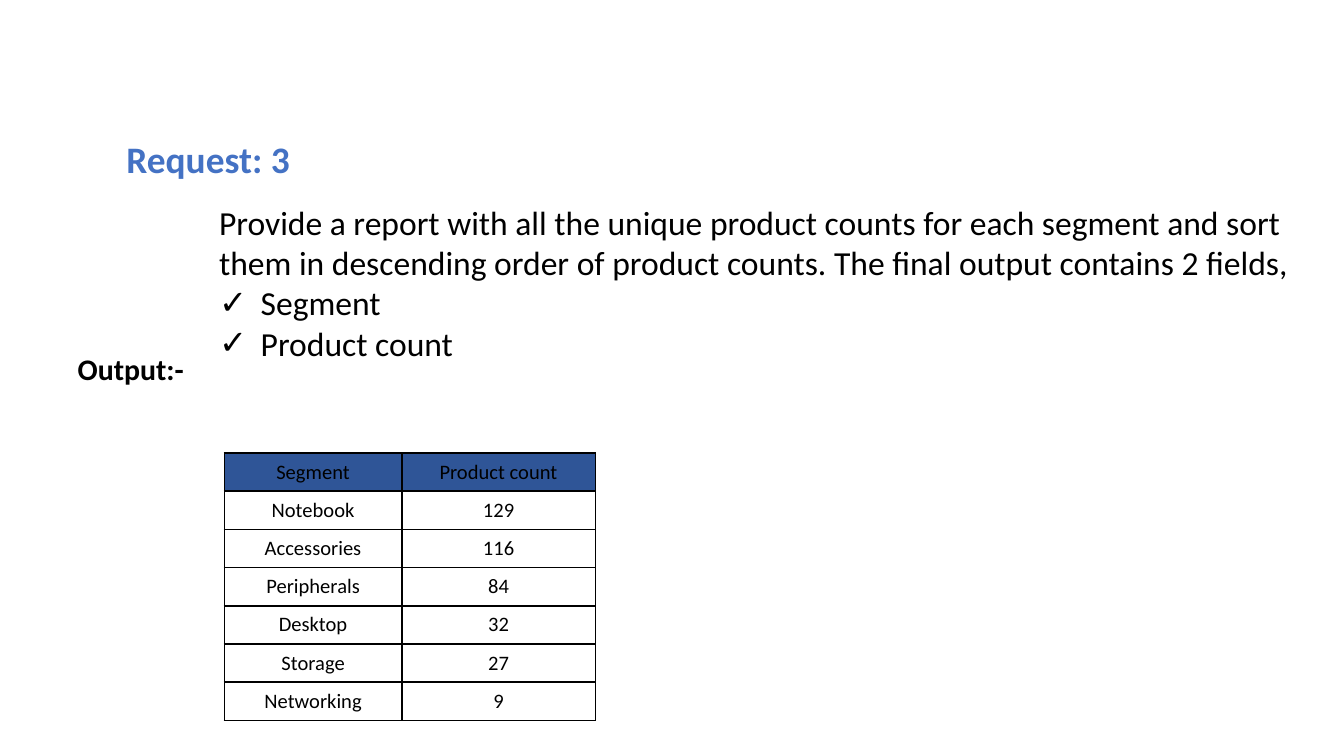
from typing import NamedTuple

from lxml import etree
from pptx import Presentation
from pptx.dml.color import RGBColor
from pptx.enum.text import MSO_ANCHOR, MSO_AUTO_SIZE, PP_ALIGN
from pptx.oxml.ns import qn
from pptx.util import Inches, Pt

LEFT, CENTER = PP_ALIGN.LEFT, PP_ALIGN.CENTER
TOP, MIDDLE = MSO_ANCHOR.TOP, MSO_ANCHOR.MIDDLE
NO_AUTOFIT = MSO_AUTO_SIZE.NONE

BLACK = RGBColor(0x00, 0x00, 0x00)
HEADING_BLUE = RGBColor(0x44, 0x72, 0xC4)
HEADER_BLUE = RGBColor(0x2F, 0x55, 0x97)
FONT = "Calibri"
SLIDE_WIDTH = 10
SLIDE_HEIGHT = SLIDE_WIDTH * 9 / 16


class Box(NamedTuple):
    left: float
    top: float
    width: float
    height: float


class SegmentCount(NamedTuple):
    segment: str
    count: str


HEADER = SegmentCount("Segment", "Product count")
SEGMENT_COUNTS = [
    SegmentCount("Notebook", "129"),
    SegmentCount("Accessories", "116"),
    SegmentCount("Peripherals", "84"),
    SegmentCount("Desktop", "32"),
    SegmentCount("Storage", "27"),
    SegmentCount("Networking", "9"),
]
COLUMN_WIDTHS = [1.32, 1.44]
ROW_HEIGHT = 0.27
CELL_MARGIN = Pt(3.45)
REQUEST = (
    "Provide a report with all the unique product counts for each segment "
    "and sort them in descending order of product counts. "
    "The final output contains 2 fields,"
)


def place(shape, box: Box) -> None:
    shape.left, shape.top, shape.width, shape.height = map(Inches, box)
    frame = shape.text_frame
    frame.word_wrap = True
    frame.auto_size = NO_AUTOFIT
    frame.vertical_anchor = TOP


def add_text(paragraph, text: str, size: float, color: RGBColor = BLACK,
             bold: bool = False, alignment=LEFT) -> None:
    paragraph.alignment = alignment
    paragraph.space_before = Pt(0)
    run = paragraph.add_run()
    run.text = text
    run.font.name = FONT
    run.font.size = Pt(size)
    run.font.bold = bold
    run.font.color.rgb = color


def set_bullet(paragraph, character: str = "", indent: float = 0) -> None:
    """Give the paragraph a hanging bullet, or none if there is no character."""
    properties = paragraph._p.get_or_add_pPr()
    properties.set("marL", str(Inches(indent)))
    properties.set("indent", str(-Inches(indent)))
    if character:
        bullet_color = etree.SubElement(properties, qn("a:buClr"))
        etree.SubElement(bullet_color, qn("a:srgbClr"), val=str(BLACK))
        etree.SubElement(properties, qn("a:buChar"), char=character)
    else:
        etree.SubElement(properties, qn("a:buNone"))


def set_borders(cell, color: RGBColor, width: float) -> None:
    properties = cell._tc.get_or_add_tcPr()
    for side in ("lnL", "lnR", "lnT", "lnB"):
        line = etree.SubElement(properties, qn(f"a:{side}"), w=str(Pt(width)))
        fill = etree.SubElement(line, qn("a:solidFill"))
        etree.SubElement(fill, qn("a:srgbClr"), val=str(color))


def add_count_table(slide, left: float, top: float) -> None:
    rows = [HEADER, *SEGMENT_COUNTS]
    table = slide.shapes.add_table(
        len(rows), len(COLUMN_WIDTHS), Inches(left), Inches(top),
        Inches(sum(COLUMN_WIDTHS)), Inches(ROW_HEIGHT * len(rows)),
    ).table
    table.first_row = False
    table.horz_banding = False
    for column, width in zip(table.columns, COLUMN_WIDTHS):
        column.width = Inches(width)
    for row_index, row in enumerate(rows):
        table.rows[row_index].height = Inches(ROW_HEIGHT)
        for column_index, text in enumerate(row):
            cell = table.cell(row_index, column_index)
            cell.vertical_anchor = MIDDLE
            cell.margin_top = cell.margin_bottom = CELL_MARGIN
            set_borders(cell, BLACK, 1)
            if row is HEADER:
                cell.fill.solid()
                cell.fill.fore_color.rgb = HEADER_BLUE
            else:
                cell.fill.background()
            add_text(cell.text_frame.paragraphs[0], text, 11, alignment=CENTER)


def main() -> None:
    presentation = Presentation()
    presentation.slide_width = Inches(SLIDE_WIDTH)
    presentation.slide_height = Inches(SLIDE_HEIGHT)
    slide = presentation.slides.add_slide(presentation.slide_layouts[1])

    title = slide.shapes.title
    place(title, Box(0.84, 0.96, 1.65, 0.44))
    add_text(title.text_frame.paragraphs[0], "Request: 3", 20, HEADING_BLUE, bold=True)

    body = slide.placeholders[1]
    place(body, Box(1.53, 1.45, 8.24, 1.62))
    paragraph = body.text_frame.paragraphs[0]
    set_bullet(paragraph)
    add_text(paragraph, REQUEST, 18)
    for field in HEADER:
        paragraph = body.text_frame.add_paragraph()
        set_bullet(paragraph, "✓", 0.31)
        add_text(paragraph, field, 18)

    add_count_table(slide, 1.67, 3.37)

    output_box = Box(0.48, 2.56, 1.19, 0.37)
    output_label = slide.shapes.add_textbox(*map(Inches, output_box))
    place(output_label, output_box)
    add_text(output_label.text_frame.paragraphs[0], "Output:-", 16, bold=True)

    presentation.save("out.pptx")


if __name__ == "__main__":
    main()
